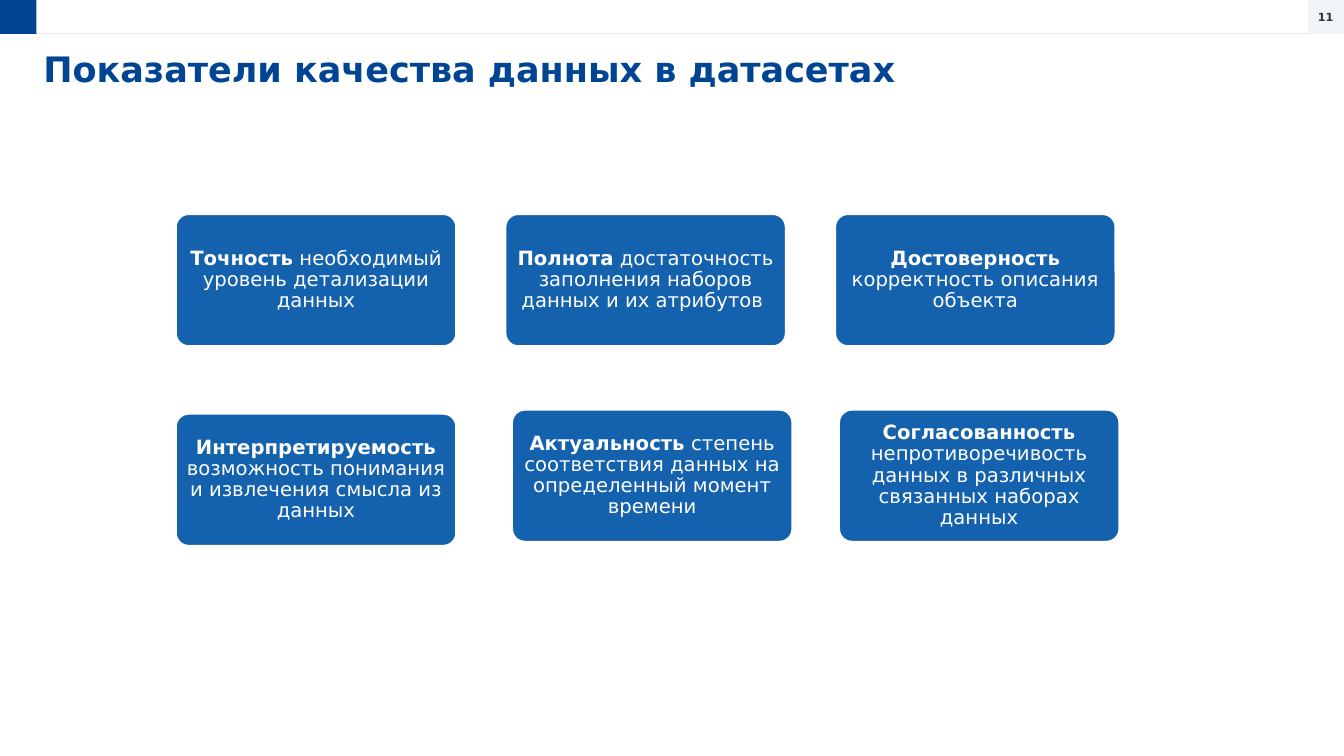
from dataclasses import dataclass

from lxml import etree
from pptx import Presentation
from pptx.dml.color import RGBColor
from pptx.enum.shapes import MSO_CONNECTOR, MSO_SHAPE
from pptx.enum.text import MSO_ANCHOR, PP_ALIGN
from pptx.oxml.ns import qn
from pptx.util import Pt

STRAIGHT = MSO_CONNECTOR.STRAIGHT
RECTANGLE = MSO_SHAPE.RECTANGLE
ROUNDED = MSO_SHAPE.ROUNDED_RECTANGLE
TOP, MIDDLE = MSO_ANCHOR.TOP, MSO_ANCHOR.MIDDLE
LEFT, CENTER = PP_ALIGN.LEFT, PP_ALIGN.CENTER


@dataclass(frozen=True)
class Theme:
    font: str = "DejaVu Sans"
    brand: str = "004494"
    card: str = "1461AD"
    white: str = "FFFFFF"
    rule: str = "EBEBEE"
    number_fill: str = "F2F5F8"
    number_text: str = "333333"
    title_size: float = 25
    card_size: float = 14
    number_size: float = 8


class SlideBuilder:
    def __init__(self, page, theme):
        self.page = page
        self.theme = theme

    def rule(self, left, top, right):
        line = self.page.shapes.add_connector(STRAIGHT, Pt(left), Pt(top), Pt(right), Pt(top))
        line.line.color.rgb = RGBColor.from_string(self.theme.rule)
        line.line.width = Pt(0.75)
        etree.SubElement(line._element.spPr, qn("a:effectLst"))

    def panel(self, left, top, width, height, fill, kind=RECTANGLE):
        box = self.page.shapes.add_shape(kind, Pt(left), Pt(top), Pt(width), Pt(height))
        box.shadow.inherit = False
        box.fill.solid()
        box.fill.fore_color.rgb = RGBColor.from_string(fill)
        box.line.fill.background()
        return box

    def set_text(self, box, words, size, color, bold=None, align=CENTER, anchor=MIDDLE, inset=0):
        frame = box.text_frame
        frame.word_wrap = True
        frame.vertical_anchor = anchor
        frame.margin_left = frame.margin_right = Pt(inset)
        frame.margin_top = frame.margin_bottom = Pt(inset)
        para = frame.paragraphs[0]
        para.text = words
        para.alignment = align
        para.font.name = self.theme.font
        para.font.size = Pt(size)
        para.font.color.rgb = RGBColor.from_string(color)
        para.font.bold = bold
        return para

    def title(self, words, left, top, width, height):
        box = self.page.shapes.add_textbox(Pt(left), Pt(top), Pt(width), Pt(height))
        self.set_text(box, words, self.theme.title_size, self.theme.brand, True, LEFT, TOP)

    def page_number(self, words, left, top, width, height):
        box = self.panel(left, top, width, height, self.theme.number_fill)
        self.set_text(box, words, self.theme.number_size, self.theme.number_text, True)

    def card(self, term, meaning, left, top, width, height):
        box = self.panel(left, top, width, height, self.theme.card, ROUNDED)
        box.adjustments[0] = 0.1
        box.line.color.rgb = RGBColor.from_string(self.theme.white)
        box.line.width = Pt(2)
        para = self.set_text(box, term, self.theme.card_size, self.theme.white, inset=1.5)
        para.line_spacing = 0.9
        para.runs[0].font.bold = True
        span = para.add_run()
        span.text = f" {meaning}"


CARD_WIDTH, CARD_HEIGHT = 200.9, 95
CARDS = [
    ("Точность", "необходимый уровень детализации данных", 125.3, 152.6),
    ("Полнота", "достаточность заполнения наборов данных и их атрибутов ", 360.7, 152.6),
    ("Достоверность", "корректность описания объекта", 596.2, 152.6),
    ("Интерпретируемость", "возможность понимания и извлечения смысла из данных", 125.3, 295.2),
    ("Актуальность", "степень соответствия данных на определенный момент времени", 365.4, 292.3),
    ("Согласованность", "непротиворечивость данных в различных связанных наборах данных", 599, 292.3),
]


def main():
    deck = Presentation()
    deck.slide_width, deck.slide_height = Pt(960), Pt(540)
    page = deck.slides.add_slide(deck.slide_layouts[6])
    theme = Theme()
    builder = SlideBuilder(page, theme)

    builder.rule(0, 24.2, 960)
    builder.panel(0, 0, 26, 24.2, theme.brand)
    builder.page_number("11", 934, 0, 26, 23.8)
    builder.title("Показатели качества данных в датасетах", 31, 33.8, 869, 44.6)
    for term, meaning, left, top in CARDS:
        builder.card(term, meaning, left, top, CARD_WIDTH, CARD_HEIGHT)

    deck.save("out.pptx")


if __name__ == "__main__":
    main()
